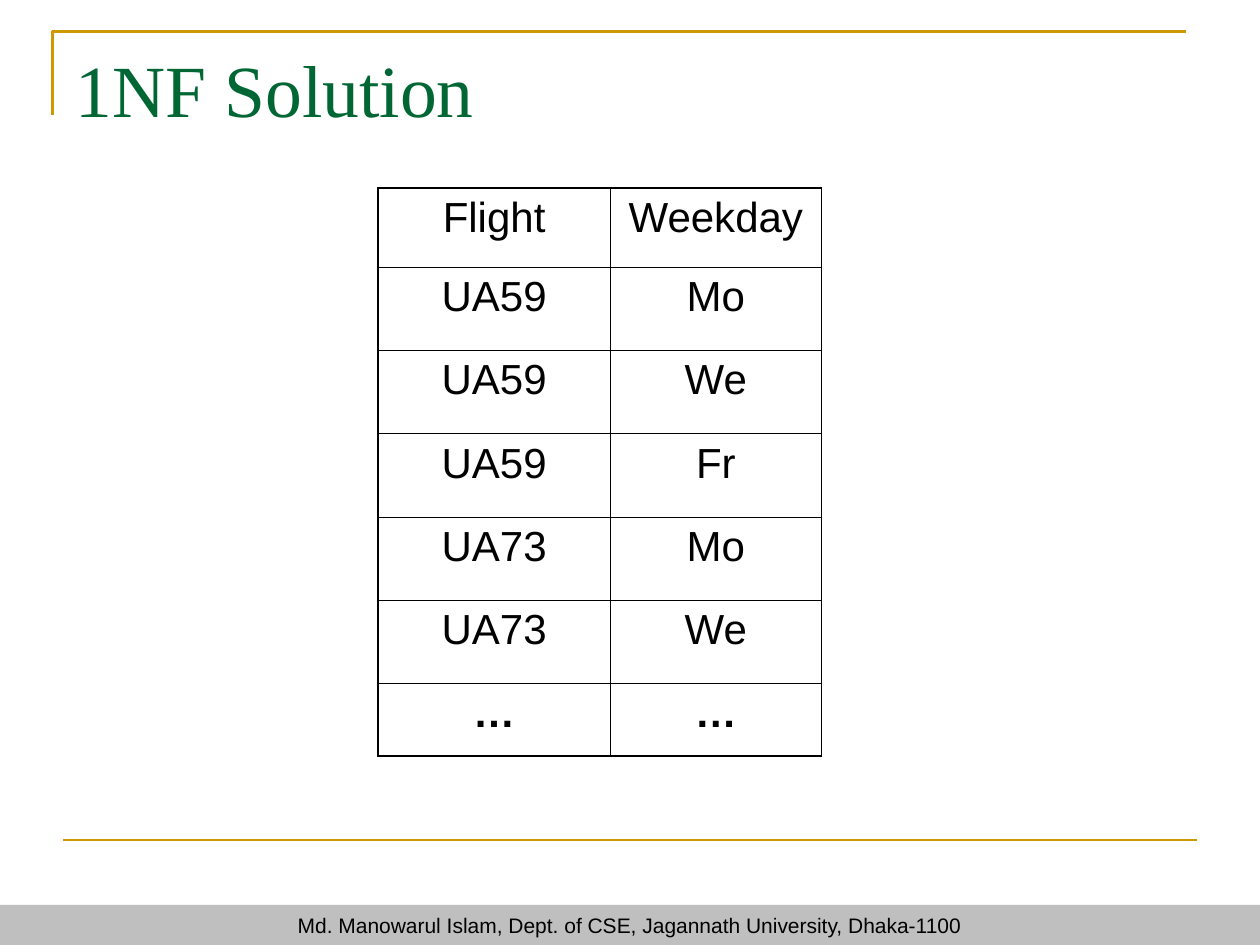
from pptx import Presentation
from pptx.dml.color import RGBColor
from pptx.enum import shapes, text
from pptx.oxml import parse_xml
from pptx.oxml.ns import nsdecls
from pptx.util import Pt

HUES = {"gold": "CC9900", "green": "006633", "gray": "BFBFBF",
        "black": "000000", "white": "FFFFFF"}


def style(par, face, size, hue):
    par.font.name = face
    par.font.size = Pt(size)
    par.font.color.rgb = RGBColor.from_string(HUES[hue])


def edge(cell, sides):
    """Draw the cell's borders; sides maps L, R, T, B, in that order, to widths."""
    props = cell._tc.get_or_add_tcPr()
    for spot, (side, width) in enumerate(sides.items()):
        props.insert(spot, parse_xml(
            f'<a:ln{side} {nsdecls("a")} w="{Pt(width)}"><a:solidFill>'
            f'<a:srgbClr val="{HUES["black"]}"/></a:solidFill></a:ln{side}>'))


deck = Presentation()
deck.slide_width, deck.slide_height = Pt(720), Pt(540)
slide = deck.slides.add_slide(deck.slide_layouts[5])
gold = RGBColor.from_string(HUES["gold"])

# Corner frame and lower rule
path = slide.shapes.build_freeform(Pt(30), Pt(66), scale=1.0)
path.add_line_segments([(Pt(30), Pt(18)), (Pt(678), Pt(18))], close=False)
frame = path.convert_to_shape()
frame.shadow.inherit = False
frame.fill.background()
rule = slide.shapes.add_connector(
    shapes.MSO_CONNECTOR.STRAIGHT, Pt(36), Pt(480), Pt(684), Pt(480))
rule._element.spPr.append(parse_xml(f'<a:effectLst {nsdecls("a")}/>'))
for item in (frame, rule):
    item.line.color.rgb = gold
    item.line.width = Pt(1.5)

# Footer band
foot = slide.shapes.add_shape(
    shapes.MSO_SHAPE.RECTANGLE, Pt(0), Pt(517), Pt(720), Pt(23.5))
foot.shadow.inherit = False
foot.fill.solid()
foot.fill.fore_color.rgb = RGBColor.from_string(HUES["gray"])
foot.line.fill.background()
foot.text_frame.vertical_anchor = text.MSO_ANCHOR.MIDDLE
foot.text_frame.text = "Md. Manowarul Islam, Dept. of CSE, Jagannath University, Dhaka-1100"
par = foot.text_frame.paragraphs[0]
par.alignment = text.PP_ALIGN.CENTER
style(par, "Arial", 12, "black")

# Title
title = slide.shapes.title
title.left, title.top, title.width, title.height = Pt(36), Pt(21.6), Pt(648), Pt(90)
title.text_frame.text = "1NF Solution"
title.text_frame.vertical_anchor = text.MSO_ANCHOR.TOP
par = title.text_frame.paragraphs[0]
par.alignment = text.PP_ALIGN.LEFT
style(par, "Times New Roman", 42, "green")

# Flight table
rows = [("Flight", "Weekday"), ("UA59", "Mo"), ("UA59", "We"), ("UA59", "Fr"),
        ("UA73", "Mo"), ("UA73", "We"), ("…", "…")]
wide = [132.7, 120.7]
high = [45.2] + [47.6] * 5 + [41.2]
last = len(rows) - 1
thin, thick = 0.45, 1.08
grid = slide.shapes.add_table(
    len(rows), 2, Pt(216), Pt(107.5), Pt(sum(wide)), Pt(sum(high))).table
grid.first_row = grid.horz_banding = False
for col, width in zip(grid.columns, wide):
    col.width = Pt(width)
for r, (row, height) in enumerate(zip(rows, high)):
    grid.rows[r].height = Pt(height)
    for c, word in enumerate(row):
        cell = grid.cell(r, c)
        cell.fill.solid()
        cell.fill.fore_color.rgb = RGBColor.from_string(HUES["white"])
        edge(cell, {"L": thick if c == 0 else thin,
                    "R": thick if c == 1 else thin,
                    "T": thick if r == 0 else thin,
                    "B": thick if r == last else thin})
        cell.text = word
        par = cell.text_frame.paragraphs[0]
        par.alignment = text.PP_ALIGN.CENTER
        style(par, "Arial", 24, "black")
        par.font.bold = r == last

deck.save("out.pptx")
